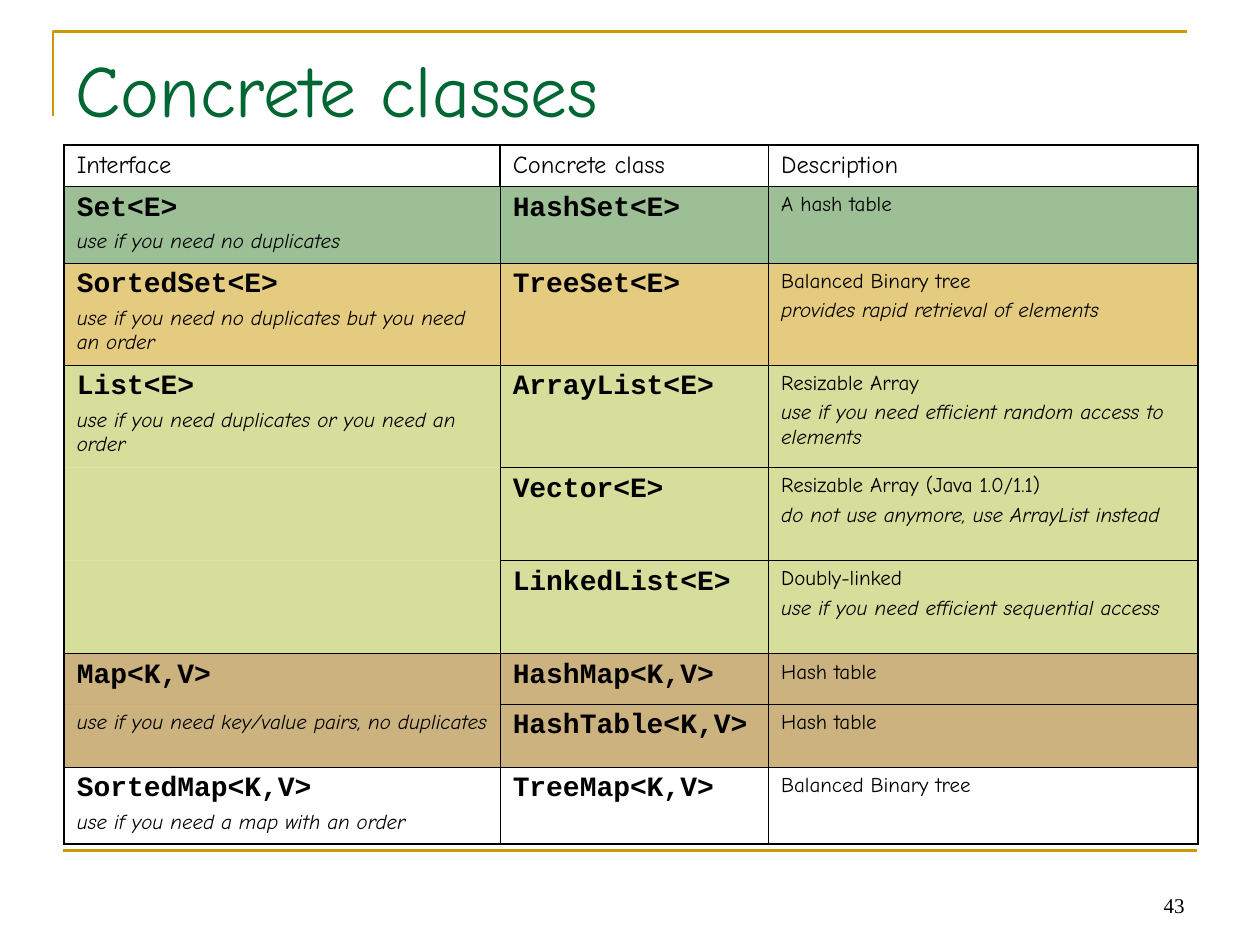
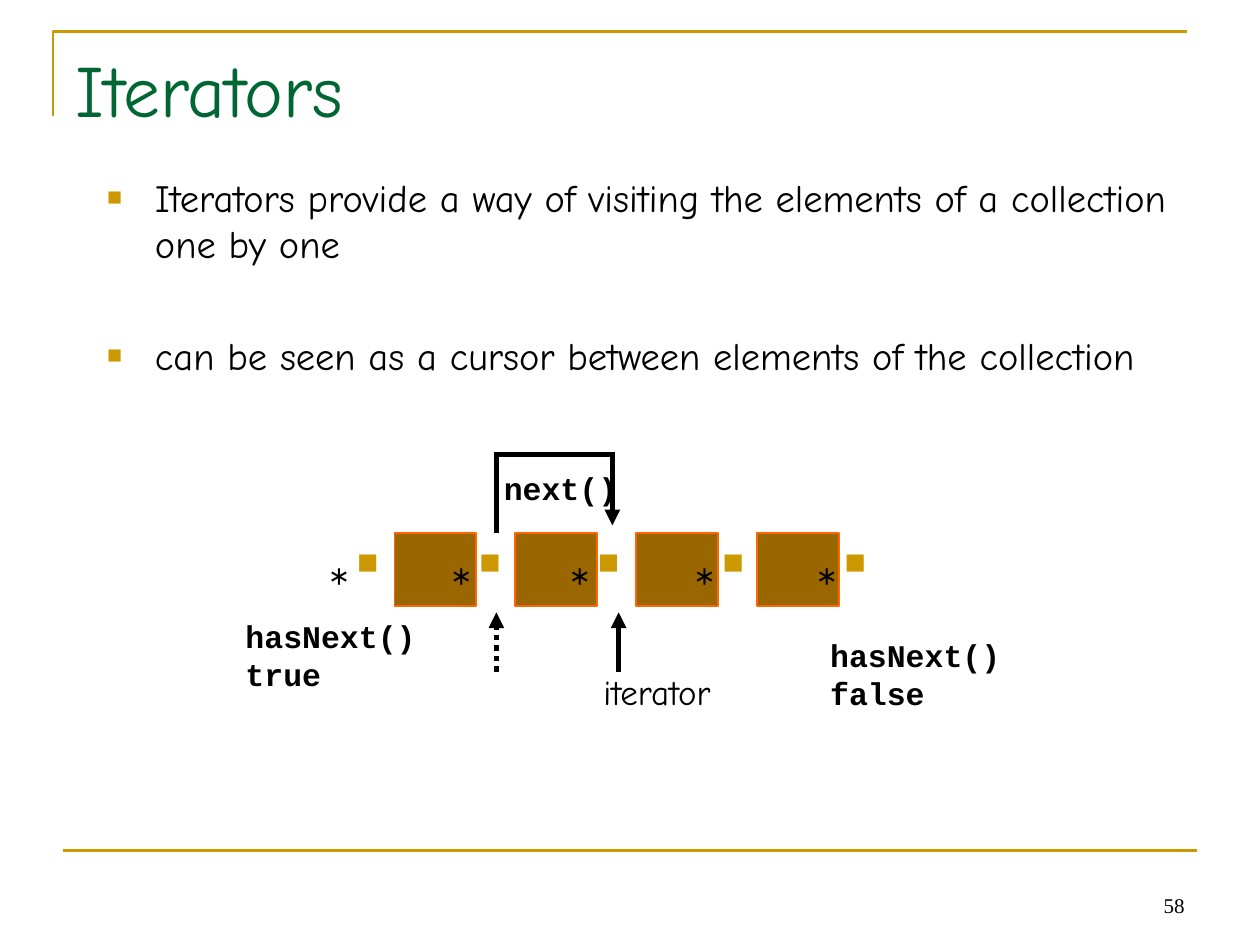
from lxml.etree import SubElement
from pptx import Presentation
from pptx.dml.color import RGBColor
from pptx.enum.dml import MSO_LINE
from pptx.enum.shapes import MSO_CONNECTOR, MSO_SHAPE
from pptx.enum.text import MSO_ANCHOR, MSO_AUTO_SIZE, PP_ALIGN
from pptx.oxml.ns import qn
from pptx.util import Inches, Pt

# Shared colours and formats
BLACK, GOLD, GREEN, BROWN = "000000", "CC9900", "006633", "996600"
TITLE = {"name": "Comic Neue", "size": Pt(42), "color": GREEN}
BODY = {"name": "Comic Neue", "size": Pt(22), "color": BLACK}
PAGE_NUMBER = {"name": "Times New Roman", "size": Pt(12), "color": BLACK}
HEADER = {**BODY, "size": Pt(14)}
PLAIN = {**BODY, "size": Pt(12)}
NOTE = {**PLAIN, "italic": True}
CODE = {"name": "Courier New", "size": Pt(16), "color": BLACK, "bold": True}
LABEL_CODE = {**CODE, "size": Pt(18)}
LABEL = {**BODY, "size": Pt(20)}
STAR = {"name": "Montserrat", "size": Pt(26), "color": BLACK}
BAND_LINE = {"color": GOLD, "width": Pt(1.5)}
ARROW_LINE = {"color": BLACK, "width": Pt(3)}
BOX_LINE = {"color": "FF6600", "width": Pt(1)}


def apply_format(target, values):
    """Set the attributes of a font, line or fill; colours are hex strings."""
    for name, value in values.items():
        if name in ("color", "fore_color"):
            getattr(target, name).rgb = RGBColor.from_string(value)
        else:
            setattr(target, name, value)


def add_line(slide, start, end, values, arrow=False):
    points = [Inches(length) for length in (*start, *end)]
    connector = slide.shapes.add_connector(MSO_CONNECTOR.STRAIGHT, *points)
    apply_format(connector.line, values)
    if arrow:
        SubElement(connector.line._get_or_add_ln(), qn("a:tailEnd"), type="triangle")
    SubElement(connector._element.spPr, qn("a:effectLst"))


presentation = Presentation()
presentation.slide_width, presentation.slide_height = Inches(10), Inches(7.5)

# Title, gold frame and page number of each slide
slides = []
for layout, title_text, number in ((5, "Concrete classes", "43"), (1, "Iterators", "58")):
    slide = presentation.slides.add_slide(presentation.slide_layouts[layout])
    slides.append(slide)

    builder = slide.shapes.build_freeform(Inches(0.42), Inches(0.92))
    corner_points = [(Inches(0.42), Inches(0.25)), (Inches(9.42), Inches(0.25))]
    builder.add_line_segments(corner_points, close=False)
    corner = builder.convert_to_shape()
    corner.shadow.inherit = False
    corner.fill.background()
    apply_format(corner.line, BAND_LINE)
    add_line(slide, (0.5, 6.75), (9.5, 6.75), BAND_LINE)

    title = slide.shapes.title
    title.left, title.top = Inches(0.5), Inches(0.3)
    title.width, title.height = Inches(9), Inches(1.25)
    page_number = slide.shapes.add_textbox(
        Inches(7.17), Inches(6.83), Inches(2.33), Inches(0.5))
    for shape, text, values, anchor, alignment in (
            (title, title_text, TITLE, MSO_ANCHOR.TOP, PP_ALIGN.LEFT),
            (page_number, number, PAGE_NUMBER, MSO_ANCHOR.BOTTOM, PP_ALIGN.RIGHT)):
        frame = shape.text_frame
        frame.text = text
        frame.word_wrap, frame.auto_size = True, MSO_AUTO_SIZE.NONE
        frame.vertical_anchor = anchor
        frame.paragraphs[0].alignment = alignment
        apply_format(frame.paragraphs[0].runs[0].font, values)

class_slide, iterator_slide = slides

# Table of classes: row height, fill, then the paragraphs of the three cells
SET, SORTED_SET, LIST, MAP = "3B812F", GOLD, "AFBF39", BROWN
rows = [
    (0.33, None, [("Interface", HEADER)], [("Concrete class", HEADER)],
     [("Description", HEADER)]),
    (0.61, SET, [("Set<E>", CODE), ("use if you need no duplicates", NOTE)],
     [("HashSet<E>", CODE)], [("A hash table", PLAIN)]),
    (0.81, SORTED_SET,
     [("SortedSet<E>", CODE),
      ("use if you need no duplicates but you need an order", NOTE)],
     [("TreeSet<E>", CODE)],
     [("Balanced Binary tree", PLAIN), ("provides rapid retrieval of elements", NOTE)]),
    (0.81, LIST,
     [("List<E>", CODE), ("use if you need duplicates or you need an order", NOTE)],
     [("ArrayList<E>", CODE)],
     [("Resizable Array", PLAIN),
      ("use if you need efficient random access to elements", NOTE)]),
    (0.74, LIST, [], [("Vector<E>", CODE)],
     [("Resizable Array (Java 1.0/1.1)", PLAIN),
      ("do not use anymore, use ArrayList instead", NOTE)]),
    (0.74, LIST, [], [("LinkedList<E>", CODE)],
     [("Doubly-linked", PLAIN), ("use if you need efficient sequential access", NOTE)]),
    (0.4, MAP, [("Map<K,V>", CODE)], [("HashMap<K,V>", CODE)], [("Hash table", PLAIN)]),
    (0.5, MAP, [("use if you need key/value pairs, no duplicates", NOTE)],
     [("HashTable<K,V>", CODE)], [("Hash table", PLAIN)]),
    (0.61, None, [("SortedMap<K,V>", CODE), ("use if you need a map with an order", NOTE)],
     [("TreeMap<K,V>", CODE)], [("Balanced Binary tree", PLAIN)]),
]
column_widths = (3.46, 2.13, 3.41)
last_row, last_column = len(rows) - 1, len(column_widths) - 1
THIN, THICK = Pt(0.45), Pt(1.08)

table = class_slide.shapes.add_table(
    len(rows), len(column_widths), Inches(0.51), Inches(1.15), Inches(9), Inches(5.54)).table
table.first_row = table.horz_banding = False
for column, width in zip(table.columns, column_widths):
    column.width = Inches(width)

for row_index, (height, fill, *cells) in enumerate(rows):
    table.rows[row_index].height = Inches(height)
    is_header = row_index == 0
    joins_above = fill is not None and fill == rows[row_index - 1][1]
    joins_below = (fill is not None and row_index < last_row
                   and fill == rows[row_index + 1][1])
    for column_index, content in enumerate(cells):
        cell = table.cell(row_index, column_index)
        for index, (text, values) in enumerate(content):
            paragraph = cell.text_frame.paragraphs[0]
            if index:
                paragraph = cell.text_frame.add_paragraph()
                paragraph.space_before = Pt(3)
            run = paragraph.add_run()
            run.text = text
            apply_format(run.font, values)

        # Thick outline and header; one interface spans rows of equal fill
        first = column_index == 0
        properties = cell._tc.get_or_add_tcPr()
        for side, thick, hidden in (
                ("a:lnL", is_header or first, False),
                ("a:lnR", is_header or column_index == last_column, False),
                ("a:lnT", row_index <= 1, first and joins_above),
                ("a:lnB", is_header or row_index == last_row, first and joins_below)):
            border = SubElement(properties, qn(side), w=str(THICK if thick else THIN))
            if hidden:
                SubElement(border, qn("a:noFill"))
            else:
                solid = SubElement(border, qn("a:solidFill"))
                SubElement(solid, qn("a:srgbClr"), val=BLACK)

        if fill:
            cell.fill.solid()
            apply_format(cell.fill, {"fore_color": fill})
            colour = properties.find(qn("a:solidFill")).find(qn("a:srgbClr"))
            SubElement(colour, qn("a:alpha"), val="50000")
        else:
            cell.fill.background()

# Bullet list on iterators
body = iterator_slide.placeholders[1]
body.left, body.top = Inches(0.75), Inches(1.33)
body.width, body.height = Inches(8.83), Inches(5.58)
body.text_frame.auto_size = MSO_AUTO_SIZE.NONE
body.text_frame.text = (
    "Iterators provide a way of visiting the elements of a collection one by one\n"
    "can be seen as a cursor between elements of the collection")
bulleted = [(paragraph, BODY, 0.38) for paragraph in body.text_frame.paragraphs]
for paragraph, gap in zip(body.text_frame.paragraphs, (0, 37.5)):
    paragraph.space_before = Pt(gap)

# Elements of the collection
for index in range(4):
    element = iterator_slide.shapes.add_shape(
        MSO_SHAPE.RECTANGLE, Inches(3.13 + 0.96 * index), Inches(4.23),
        Inches(0.65), Inches(0.58))
    element.shadow.inherit = False
    element.fill.solid()
    apply_format(element.fill, {"fore_color": BROWN})
    apply_format(element.line, BOX_LINE)

# Cursor positions between the elements
for left in (2.87, 3.84, 4.78, 5.77, 6.74):
    position = iterator_slide.shapes.add_textbox(
        Inches(left), Inches(4.41), Inches(0.19), Inches(0.22))
    position.rotation = 90
    frame = position.text_frame
    frame.text = "*"
    apply_format(frame, {
        "margin_left": Inches(0.05), "margin_right": Inches(0.05),
        "margin_top": Inches(0.1), "margin_bottom": Inches(0.1),
        "word_wrap": False, "vertical_anchor": MSO_ANCHOR.MIDDLE})
    frame._txBody.bodyPr.set("vert", "eaVert")
    bulleted.append((frame.paragraphs[0], STAR, 0))

# Gold square bullets for the list and the positions
for paragraph, values, indent in bulleted:
    properties = paragraph._p.get_or_add_pPr()
    properties.set("marL", str(Inches(indent)))
    properties.set("indent", str(-Inches(indent)))
    bullet_colour = SubElement(properties, qn("a:buClr"))
    SubElement(bullet_colour, qn("a:srgbClr"), val=GOLD)
    SubElement(properties, qn("a:buSzPct"), val="65000")
    SubElement(properties, qn("a:buChar"), char="■")
    apply_format(paragraph.runs[0].font, values)

# Arrows: iterator before and after, and the step made by next()
dotted = {**ARROW_LINE, "dash_style": MSO_LINE.ROUND_DOT}
for start, end, values, arrow in (
        ((3.94, 5.33), (3.94, 4.86), dotted, True),
        ((4.91, 5.33), (4.91, 4.86), ARROW_LINE, True),
        ((3.94, 4.23), (3.94, 3.59), ARROW_LINE, False),
        ((4.86, 3.61), (3.94, 3.61), ARROW_LINE, False),
        ((4.86, 3.59), (4.86, 4.17), ARROW_LINE, True)):
    add_line(iterator_slide, start, end, values, arrow)

# Labels
for text, values, left, top, width, height in (
        ("hasNext()\nfalse", LABEL_CODE, 6.49, 5, 1.9, 0.7),
        ("hasNext()\ntrue", LABEL_CODE, 1.85, 4.85, 1.7, 0.7),
        ("next()", LABEL_CODE, 3.9, 3.67, 1.2, 0.4),
        ("iterator", LABEL, 4.69, 5.27, 1.2, 0.44)):
    label = iterator_slide.shapes.add_textbox(
        Inches(left), Inches(top), Inches(width), Inches(height))
    label.text_frame.word_wrap = True
    label.text_frame.text = text
    for paragraph in label.text_frame.paragraphs:
        apply_format(paragraph.runs[0].font, values)

presentation.save("out.pptx")
